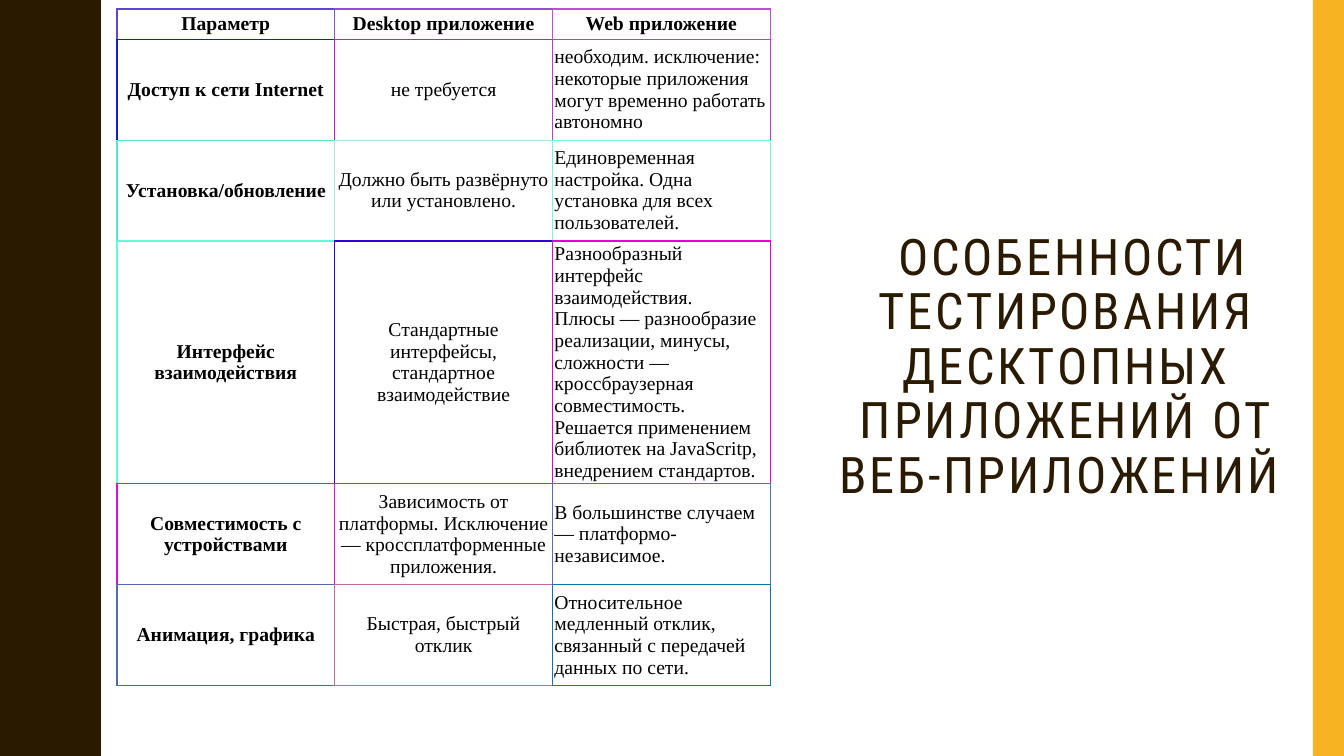
from lxml import etree
from pptx import Presentation
from pptx import util as u
from pptx.dml.color import RGBColor
from pptx.enum import shapes, text
from pptx.oxml.ns import qn

BROWN = RGBColor(0x2A, 0x1A, 0x00)
AMBER = RGBColor(0xF8, 0xB3, 0x23)
BLACK = RGBColor(0x00, 0x00, 0x00)

SLIDE_WIDTH, SLIDE_HEIGHT = 13.33, 7.5
WAVE_PERIOD = 1.5
HALF_WAVE = [
    (0.78, 0), (0.78, 0.07), (0.79, 0.14), (0.8, 0.2), (0.81, 0.25),
    (0.83, 0.29), (0.85, 0.33), (0.87, 0.38), (0.89, 0.42), (0.91, 0.46),
    (0.93, 0.5), (0.95, 0.55), (0.96, 0.61), (0.97, 0.68), (0.97, 0.75),
]

HEADING = " ОСОБЕННОСТИ ТЕСТИРОВАНИЯ ДЕСКТОПНЫХ ПРИЛОЖЕНИЙ ОТ ВЕБ-ПРИЛОЖЕНИЙ "
COMPARISON = [
    ("Параметр", "Desktop приложение", "Web приложение"),
    ("Доступ к сети Internet", "не требуется",
     "необходим. исключение: некоторые приложения могут временно работать автономно"),
    ("Установка/обновление", "Должно быть развёрнуто или установлено.",
     "Единовременная настройка. Одна установка для всех пользователей."),
    ("Интерфейс взаимодействия", "Стандартные интерфейсы, стандартное взаимодействие",
     "Разнообразный интерфейс взаимодействия.\n"
     "Плюсы — разнообразие реализации, минусы, сложности — кроссбраузерная "
     "совместимость. Решается применением библиотек на JavaScritp, внедрением стандартов."),
    ("Совместимость с устройствами",
     "Зависимость от платформы. Исключение — кроссплатформенные приложения.",
     "В большинстве случаем — платформо-независимое."),
    ("Анимация, графика", "Быстрая, быстрый отклик",
     "Относительное медленный отклик, связанный с передачей данных по сети."),
]
ROW_HEIGHTS = [0.3, 1, 1, 2.41, 1, 1]
COLUMN_WIDTH = 2.16
BORDER_COLOURS = [
    ("6044D6", "904DD6", "C04DD6"),
    ("101CD6", "C01AD6", "C038D6"),
    ("50E8D5", "B0E8D5", "70FBD5"),
    ("60FCD5", "3002D6", "E000D6"),
    ("E00CD6", "E00FD6", "5074A6"),
    ("506BA6", "C06AA6", "1075A6"),
]

CELL_FORMAT = {
    "margin_left": u.Inches(0.02), "margin_right": u.Inches(0.02),
    "margin_top": u.Inches(0.02), "margin_bottom": u.Inches(0.02),
    "vertical_anchor": text.MSO_ANCHOR.MIDDLE,
}
CELL_FONT = {"name": "Times New Roman", "size": u.Pt(14)}
HEADING_BOX = {
    "left": u.Inches(8.06), "top": u.Inches(2.25),
    "width": u.Inches(5.04), "height": u.Inches(2.32),
}
HEADING_FRAME = {
    "word_wrap": True, "auto_size": text.MSO_AUTO_SIZE.NONE,
    "vertical_anchor": text.MSO_ANCHOR.TOP,
}
HEADING_FONT = {"name": "Roboto Condensed", "size": u.Pt(36), "bold": False}


def apply_format(target, values):
    for name, value in values.items():
        setattr(target, name, value)


def paint(shape, colour):
    shape.shadow.inherit = False
    shape.fill.solid()
    shape.fill.fore_color.rgb = colour
    shape.line.fill.background()


def add_wave(slide):
    period = HALF_WAVE + [(x, WAVE_PERIOD - y) for x, y in HALF_WAVE[-2::-1]]
    edge = [(x, y + n * WAVE_PERIOD)
            for n in range(round(SLIDE_HEIGHT / WAVE_PERIOD)) for x, y in period]
    outline = slide.shapes.build_freeform(0, 0, scale=u.Inches(1))
    outline.add_line_segments(edge + [(0, SLIDE_HEIGHT)], close=True)
    paint(outline.convert_to_shape(), BROWN)


def add_side_bar(slide):
    bar = slide.shapes.add_shape(
        shapes.MSO_SHAPE.RECTANGLE,
        u.Inches(13.02), 0, u.Inches(0.31), u.Inches(SLIDE_HEIGHT))
    paint(bar, AMBER)


def write_heading(slide):
    heading = slide.shapes.title
    apply_format(heading, HEADING_BOX)
    apply_format(heading.text_frame, HEADING_FRAME)
    paragraph = heading.text_frame.paragraphs[0]
    apply_format(paragraph, {"alignment": text.PP_ALIGN.CENTER, "line_spacing": 0.9})
    words = paragraph.add_run()
    words.text = HEADING
    apply_format(words.font, HEADING_FONT)
    words.font.color.rgb = BROWN
    words.font._element.set("spc", "200")


def add_borders(cell, row, column):
    own = BORDER_COLOURS[row][column]
    last_row = row == len(COMPARISON) - 1
    last_column = column == len(COMPARISON[0]) - 1
    right = (own, 0.75) if last_column else (BORDER_COLOURS[row][column + 1], 1)
    bottom = (own, 0.75) if last_row else (BORDER_COLOURS[row + 1][column], 1)
    sides = {"a:lnL": (own, 1), "a:lnR": right, "a:lnT": (own, 1), "a:lnB": bottom}
    properties = cell._tc.get_or_add_tcPr()
    for position, (tag, (colour, width)) in enumerate(sides.items()):
        border = etree.Element(qn(tag), w=str(u.Pt(width)))
        solid = etree.SubElement(border, qn("a:solidFill"))
        etree.SubElement(solid, qn("a:srgbClr"), val=colour)
        properties.insert(position, border)


def write_cell(cell, words, row, column):
    apply_format(cell, CELL_FORMAT)
    cell.fill.background()
    cell.text = words
    centred = row == 0 or column < 2
    for paragraph in cell.text_frame.paragraphs:
        paragraph.alignment = text.PP_ALIGN.CENTER if centred else text.PP_ALIGN.LEFT
        for run in paragraph.runs:
            apply_format(run.font, CELL_FONT)
            run.font.bold = row == 0 or column == 0
            run.font.color.rgb = BLACK
    add_borders(cell, row, column)


def add_comparison(slide):
    columns = len(COMPARISON[0])
    table = slide.shapes.add_table(
        len(COMPARISON), columns, u.Inches(1.16), u.Inches(0.09),
        u.Inches(COLUMN_WIDTH * columns), u.Inches(sum(ROW_HEIGHTS))).table
    apply_format(table, {"first_row": False, "horz_banding": False})
    for column in table.columns:
        column.width = u.Inches(COLUMN_WIDTH)
    for row, (height, entries) in enumerate(zip(ROW_HEIGHTS, COMPARISON)):
        table.rows[row].height = u.Inches(height)
        for column, words in enumerate(entries):
            write_cell(table.cell(row, column), words, row, column)


def main():
    deck = Presentation()
    deck.slide_width = u.Inches(SLIDE_WIDTH)
    deck.slide_height = u.Inches(SLIDE_HEIGHT)
    slide = deck.slides.add_slide(deck.slide_layouts[5])
    add_wave(slide)
    add_side_bar(slide)
    write_heading(slide)
    add_comparison(slide)
    deck.save("out.pptx")


if __name__ == "__main__":
    main()
